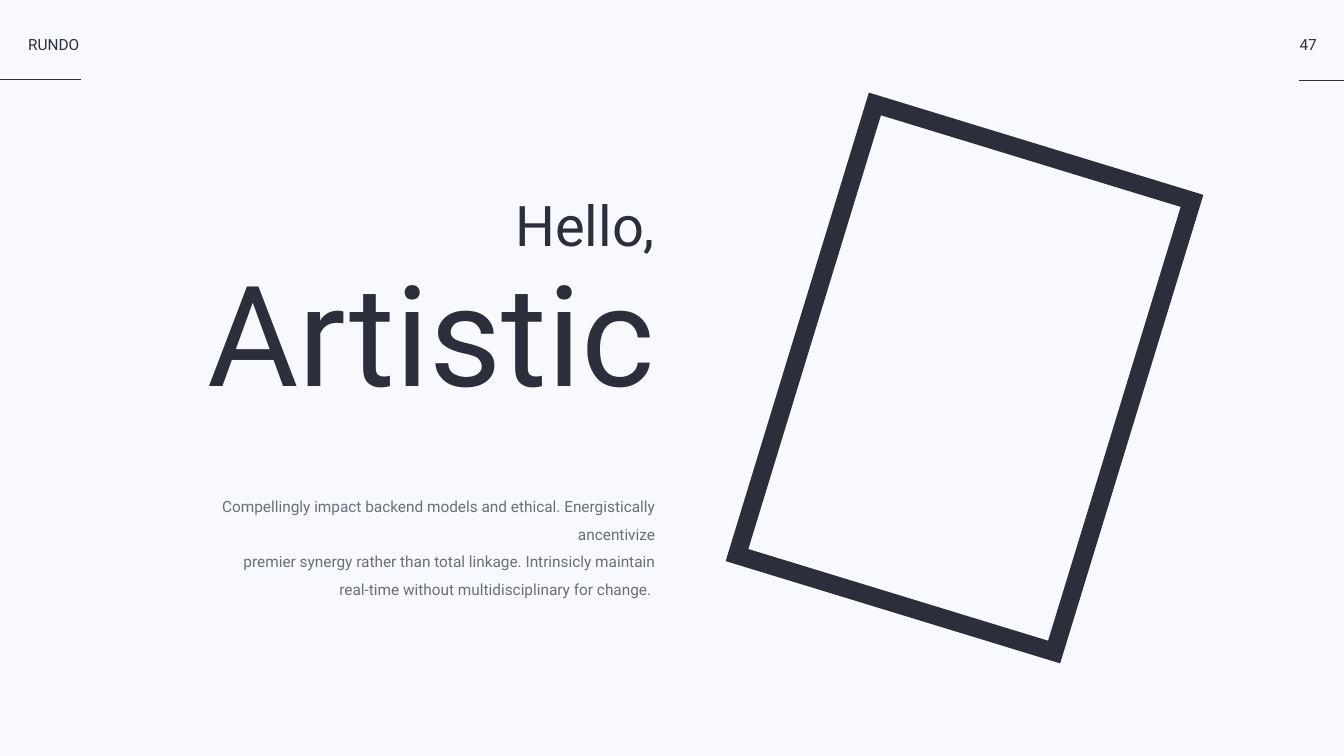
from lxml.etree import SubElement
from pptx import Presentation
from pptx.dml.color import RGBColor as RGB
from pptx.enum.shapes import MSO_CONNECTOR as LINK, MSO_SHAPE as SHAPE
from pptx.enum.text import MSO_ANCHOR as ANCHOR, MSO_AUTO_SIZE as FIT, PP_ALIGN as ALIGN
from pptx.oxml.ns import qn
from pptx.util import Inches, Pt

HEX = {"back": "F7F9FF", "ink": "2C2E3C", "grey": "6A6E77"}
INK = RGB.from_string(HEX["ink"])
WIDE, HIGH = 26.67, 15
RIGHT = 13  # shared right edge of the text column
EDGE = 25.78  # left edge of the page number

deck = Presentation()
deck.slide_width, deck.slide_height = Inches(WIDE), Inches(HIGH)
slide = deck.slides.add_slide(deck.slide_layouts[5])
fill = slide.background.fill
fill.solid()
fill.fore_color.rgb = RGB.from_string(HEX["back"])


def put(box, area, text, size, align, color="ink", wrap=False, anchor=ANCHOR.TOP, gap=1):
    box.left, box.top, box.width, box.height = map(Inches, area)
    frame = box.text_frame
    frame.text = text
    frame.margin_left = frame.margin_right = frame.margin_top = frame.margin_bottom = 0
    frame.word_wrap = wrap
    frame.auto_size = FIT.SHAPE_TO_FIT_TEXT
    frame.vertical_anchor = anchor
    for para in frame.paragraphs:
        para.alignment = align
        para.line_spacing = gap
        for run in para.runs:
            run.font.name = "Roboto"
            run.font.size = Pt(size)
            run.font.color.rgb = RGB.from_string(HEX[color])


# Header: name and page number, each over a rule
for start, end, y in ((0, 1.61, 1.58), (EDGE, WIDE, 1.6)):
    rule = slide.shapes.add_connector(
        LINK.STRAIGHT, Inches(start), Inches(y), Inches(end), Inches(y))
    rule.line.color.rgb = INK
    rule.line.width = Pt(2)
    SubElement(rule._element.spPr, qn("a:effectLst"))

for x, width, text, align in ((0.56, 1.05, "RUNDO", ALIGN.LEFT),
                              (EDGE, 0.36, "47", ALIGN.CENTER)):
    put(slide.shapes.add_textbox(0, 0, 0, 0), (x, 0.69, width, 0.4), text, 22, align)

# Tilted picture frame
tilt = slide.shapes.add_shape(
    SHAPE.FRAME, Inches(15.67), Inches(2.64), Inches(6.94), Inches(9.72))
tilt.rotation = 17
tilt.adjustments[0] = 0.36 / 6.94
tilt.fill.solid()
tilt.fill.fore_color.rgb = INK
tilt.line.fill.background()
tilt.shadow.inherit = False

# Title and greeting
put(slide.shapes.title, (RIGHT - 9.21, 4.9, 9.21, 3.67), "Artistic", 200, ALIGN.RIGHT)
put(slide.shapes.add_textbox(0, 0, 0, 0), (RIGHT - 2.91, 3.71, 2.91, 1.47),
    "Hello,", 80, ALIGN.RIGHT, anchor=ANCHOR.MIDDLE)

# Body text
body = "\n".join((
    "Compellingly impact backend models and ethical. Energistically ancentivize",
    "premier synergy rather than total linkage. Intrinsicly maintain",
    "real-time without multidisciplinary for change. "))
put(slide.shapes.add_textbox(0, 0, 0, 0), (RIGHT - 10, 9.68, 10, 1.61),
    body, 22, ALIGN.RIGHT, "grey", wrap=True, gap=1.5)

deck.save("out.pptx")
